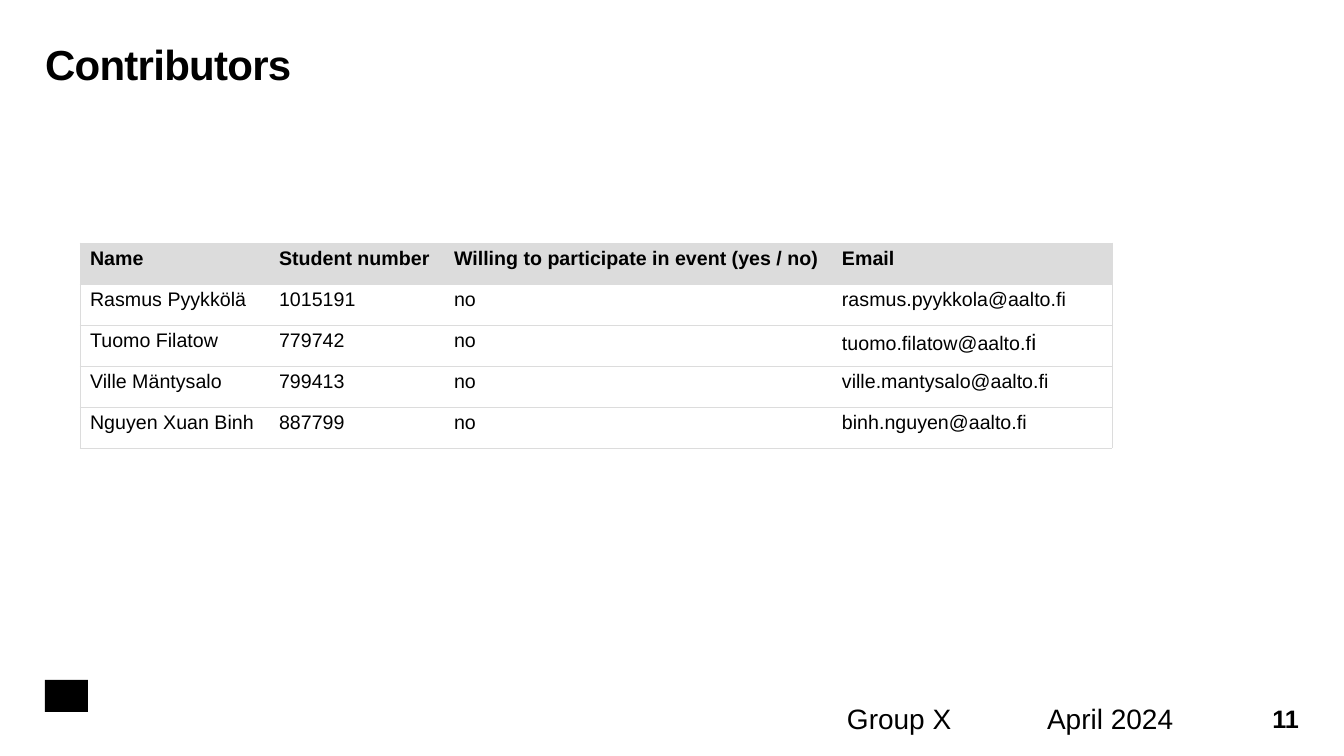
from lxml import etree
from pptx import Presentation
from pptx import util as u
from pptx.dml.color import RGBColor
from pptx.enum import shapes, text
from pptx.oxml import ns

EMU_PER_PX = 914400 / 100.8
FONT = "Arial"
BLACK = "000000"
GREY = "DCDCDC"
COL_WIDTHS = [189, 175, 388, 280]
ROW_HEIGHT = 41
ROWS = [
    ["Name", "Student number", "Willing to participate in event (yes / no)", "Email"],
    ["Rasmus Pyykkölä", "1015191", "no", "rasmus.pyykkola@aalto.fi"],
    ["Tuomo Filatow", "779742", "no", "tuomo.filatow@aalto.fi"],
    ["Ville Mäntysalo", "799413", "no", "ville.mantysalo@aalto.fi"],
    ["Nguyen Xuan Binh", "887799", "no", "binh.nguyen@aalto.fi"],
]
LARGE_ENDING = (2, 3)


def px(n):
    return u.Emu(round(n * EMU_PER_PX))


def color(hex_value):
    return RGBColor.from_string(hex_value)


def set_font(font, size, bold=False):
    font.name = FONT
    font.size = u.Pt(size)
    font.bold = bold
    font.color.rgb = color(BLACK)


def add_text(s, content, box, size, bold=False, inset=(0, 0),
             align=text.PP_ALIGN.LEFT, anchor=text.MSO_ANCHOR.TOP):
    tf = s.shapes.add_textbox(*map(px, box)).text_frame
    tf.word_wrap = True
    tf.vertical_anchor = anchor
    tf.margin_left = tf.margin_right = px(inset[0])
    tf.margin_top = tf.margin_bottom = px(inset[1])
    p = tf.paragraphs[0]
    p.text = content
    p.alignment = align
    set_font(p.font, size, bold)
    return p


def add_title(s, content):
    p = add_text(s, content, (45, 44, 1254, 119), 30, True)
    p.line_spacing = 0.9
    p.runs[0].font._element.set("spc", "-50")


def set_border(cell, side, visible):
    ln = etree.SubElement(cell._tc.get_or_add_tcPr(), ns.qn(f"a:ln{side}"))
    ln.set("w", str(u.Pt(0.5)))
    if visible:
        fill = etree.SubElement(ln, ns.qn("a:solidFill"))
        etree.SubElement(fill, ns.qn("a:srgbClr")).set("val", GREY)
    else:
        etree.SubElement(ln, ns.qn("a:noFill"))


def style_cell(cell, row, col):
    outline = {"L": col == 0, "R": col == len(COL_WIDTHS) - 1, "T": True, "B": True}
    for side, visible in outline.items():
        set_border(cell, side, visible)
    if row == 0:
        cell.fill.solid()
        cell.fill.fore_color.rgb = color(GREY)
    else:
        cell.fill.background()


def fill_cell(cell, content, row, col):
    p = cell.text_frame.paragraphs[0]
    set_font(p.font, 14, row == 0)
    if (row, col) == LARGE_ENDING:
        p.add_run().text = content[:-1]
        r = p.add_run()
        r.text = content[-1]
        r.font.size = u.Pt(16)
    else:
        p.add_run().text = content


def add_contributors(s, left, top):
    frame = s.shapes.add_table(len(ROWS), len(COL_WIDTHS), px(left), px(top),
                               px(sum(COL_WIDTHS)), px(ROW_HEIGHT * len(ROWS)))
    table = frame.table
    table.first_row = table.horz_banding = False
    for column, width in zip(table.columns, COL_WIDTHS):
        column.width = px(width)
    for i, values in enumerate(ROWS):
        table.rows[i].height = px(ROW_HEIGHT)
        for j, value in enumerate(values):
            cell = table.cell(i, j)
            style_cell(cell, i, j)
            fill_cell(cell, value, i, j)


def add_block(s, box):
    sp = s.shapes.add_shape(shapes.MSO_SHAPE.RECTANGLE, *map(px, box))
    sp.shadow.inherit = False
    sp.fill.solid()
    sp.fill.fore_color.rgb = color(BLACK)
    sp.line.fill.background()


def main():
    prs = Presentation()
    prs.slide_width, prs.slide_height = px(1344), px(756)
    s = prs.slides.add_slide(prs.slide_layouts[6])
    add_block(s, (45, 680, 43, 32))
    add_title(s, "Contributors")
    add_contributors(s, 80, 243)
    add_text(s, "11", (1252, 710, 47, 16), 18, True,
             align=text.PP_ALIGN.RIGHT, anchor=text.MSO_ANCHOR.MIDDLE)
    add_text(s, "April 2024", (1037, 696, 191, 16), 20, inset=(10, 5))
    add_text(s, "Group X", (837, 696, 143, 44), 20, inset=(10, 5))
    prs.save("out.pptx")


if __name__ == "__main__":
    main()
